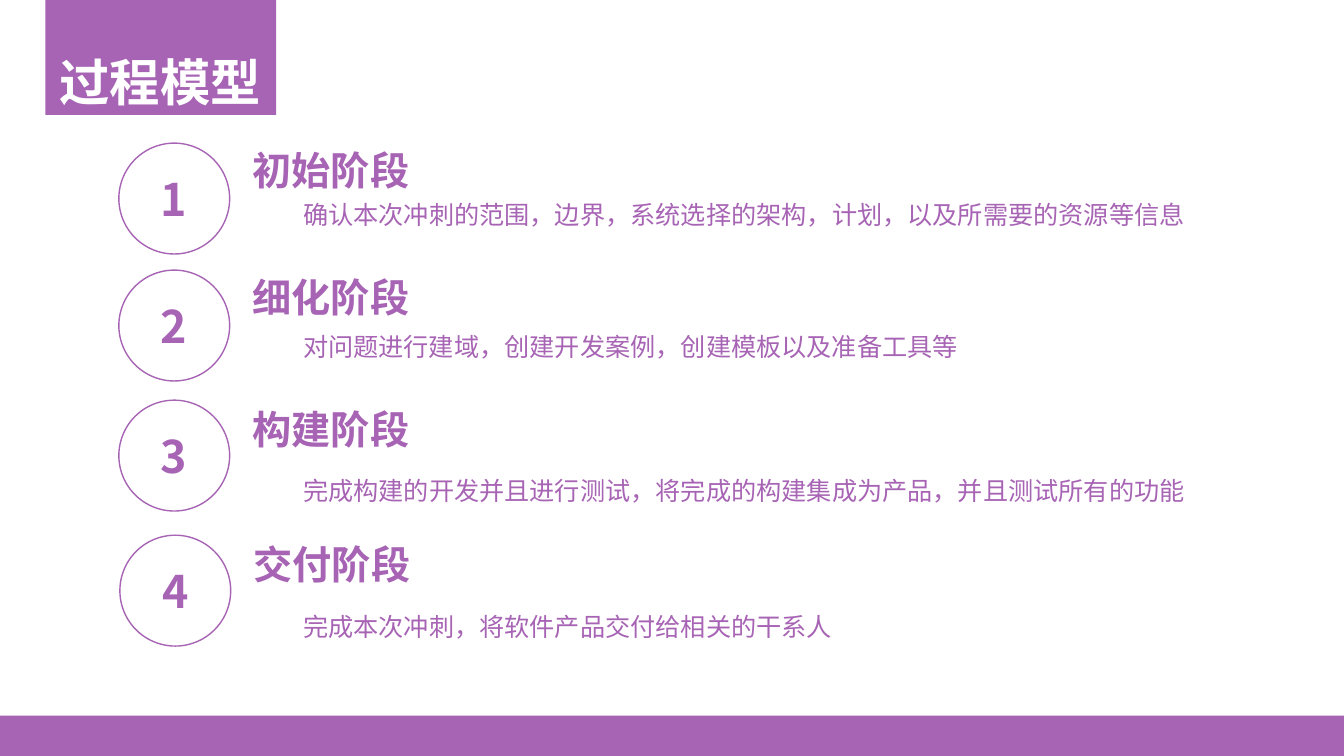
from lxml import etree
from pptx import Presentation
from pptx.dml.color import RGBColor
from pptx.enum.shapes import MSO_SHAPE
from pptx.enum.text import MSO_ANCHOR, PP_ALIGN
from pptx.oxml.ns import qn
from pptx.util import Inches, Pt

RECTANGLE, OVAL = MSO_SHAPE.RECTANGLE, MSO_SHAPE.OVAL
MIDDLE, CENTER = MSO_ANCHOR.MIDDLE, PP_ALIGN.CENTER

TITLE = "过程模型"
STAGES = [
    {"name": "初始阶段", "detail": "确认本次冲刺的范围，边界，系统选择的架构，计划，以及所需要的资源等信息",
     "circle": (1.18, 1.42), "heading": (2.41, 1.4), "detail_top": 1.93, "detail_width": None},
    {"name": "细化阶段", "detail": "对问题进行建域，创建开发案例，创建模板以及准备工具等",
     "circle": (1.18, 2.68), "heading": (2.41, 2.66), "detail_top": 3.24, "detail_width": None},
    {"name": "构建阶段", "detail": "完成构建的开发并且进行测试，将完成的构建集成为产品，并且测试所有的功能",
     "circle": (1.18, 3.97), "heading": (2.41, 3.97), "detail_top": 4.67, "detail_width": 9.22},
    {"name": "交付阶段", "detail": "完成本次冲刺，将软件产品交付给相关的干系人",
     "circle": (1.19, 5.31), "heading": (2.42, 5.31), "detail_top": 6.02, "detail_width": 9.22},
]
PURPLE, WHITE = "A764B4", "FFFFFF"
FONT = "Noto Sans CJK SC"
DETAIL_LEFT = 2.91
CIRCLE_SIZE = 1.1
SIDE_INSETS = 0.2


def color(value):
    return RGBColor.from_string(value)


def write(para, text, size, ink, bold):
    span = para.add_run()
    span.text = text
    span.font.name = FONT
    span.font.size = Pt(size)
    span.font.bold = bold
    span.font.color.rgb = color(ink)
    east_asian = etree.SubElement(span.font._element, qn("a:ea"))
    east_asian.set("typeface", FONT)


def add_text(page, left, top, height, text, size, ink, bold=False, width=None):
    fitted = width or len(text) * size / 72 + SIDE_INSETS
    box = page.shapes.add_textbox(Inches(left), Inches(top), Inches(fitted), Inches(height))
    box.text_frame.word_wrap = width is not None
    write(box.text_frame.paragraphs[0], text, size, ink, bold)


def add_block(page, left, top, width, height):
    block = page.shapes.add_shape(RECTANGLE, Inches(left), Inches(top), Inches(width), Inches(height))
    block.shadow.inherit = False
    block.fill.solid()
    block.fill.fore_color.rgb = color(PURPLE)
    block.line.fill.background()


def add_circle(page, left, top, number):
    circle = page.shapes.add_shape(OVAL, Inches(left), Inches(top), Inches(CIRCLE_SIZE), Inches(CIRCLE_SIZE))
    circle.shadow.inherit = False
    circle.fill.background()
    circle.line.color.rgb = color(PURPLE)
    circle.line.width = Pt(1)
    circle.text_frame.vertical_anchor = MIDDLE
    para = circle.text_frame.paragraphs[0]
    para.alignment = CENTER
    write(para, str(number), 32, PURPLE, True)


def main():
    deck = Presentation()
    deck.slide_width, deck.slide_height = Inches(13.34), Inches(7.5)
    page = deck.slides.add_slide(deck.slide_layouts[6])
    add_block(page, 0, 7.1, 13.34, 0.4)
    add_block(page, 0.45, 0, 2.29, 1.14)
    add_text(page, 0.49, 0.46, 0.7, TITLE, 36, WHITE, True)
    for number, stage in enumerate(STAGES, 1):
        add_circle(page, *stage["circle"], number)
        add_text(page, *stage["heading"], 0.57, stage["name"], 28, PURPLE, True)
        add_text(page, DETAIL_LEFT, stage["detail_top"], 0.4, stage["detail"], 18, PURPLE,
                 width=stage["detail_width"])
    deck.save("out.pptx")


if __name__ == "__main__":
    main()
